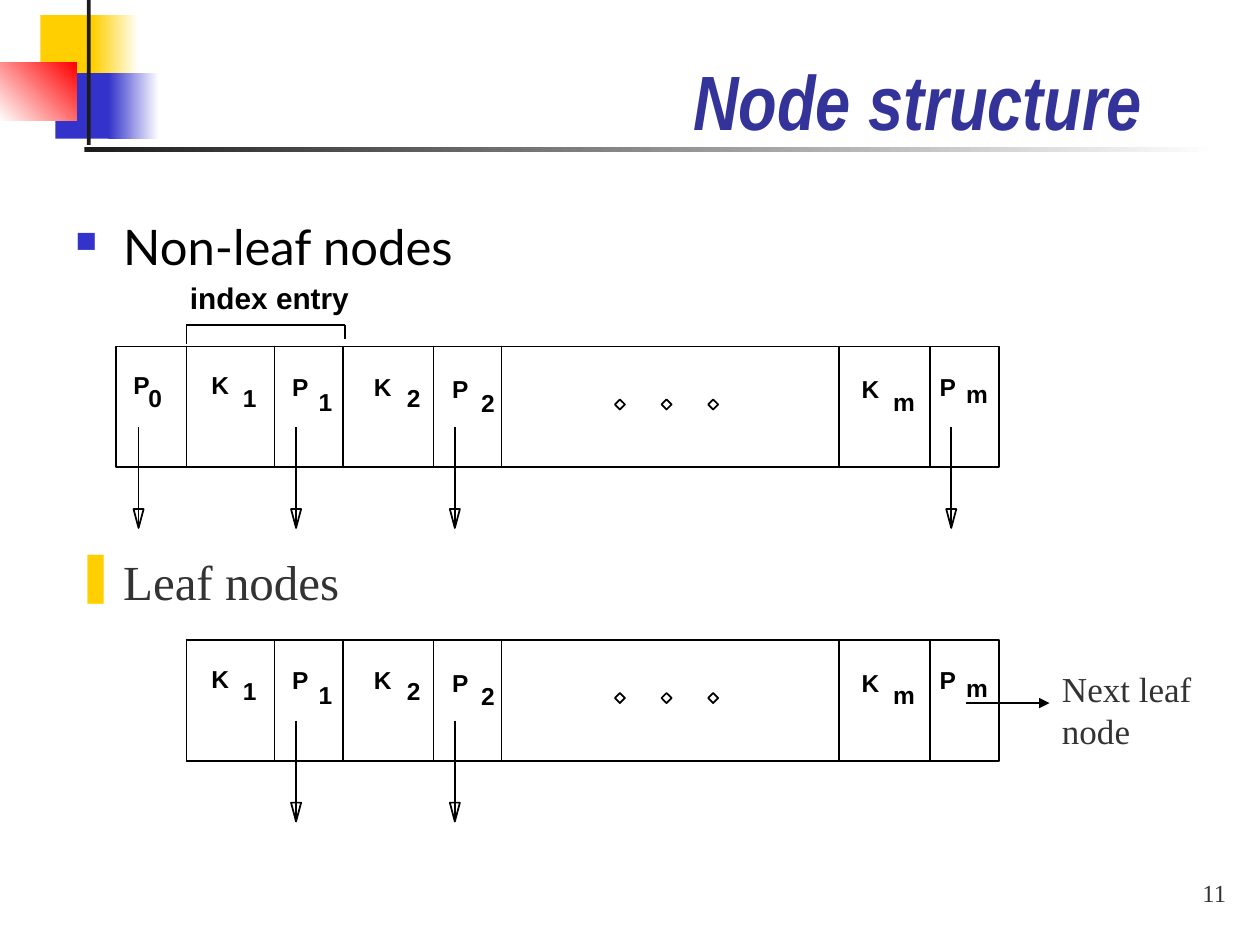
"""Build the slide that shows the structure of non-leaf and leaf index nodes."""
from dataclasses import dataclass

from lxml.etree import SubElement
from pptx import Presentation
from pptx.dml.color import RGBColor
from pptx.enum.shapes import MSO_CONNECTOR, MSO_SHAPE
from pptx.enum.text import MSO_ANCHOR, MSO_AUTO_SIZE, PP_ALIGN
from pptx.oxml.ns import qn
from pptx.util import Emu, Pt

SCALE = 9144


def px(*lengths):
    return [Emu(length * SCALE) for length in lengths]


@dataclass(frozen=True)
class Theme:
    black: str = "000000"
    white: str = "FFFFFF"
    ink: str = "1C1C1C"
    grey: str = "333333"
    title: str = "333399"
    blue: str = "3333CC"
    yellow: str = "FFCF01"
    red: str = "FF0000"
    title_font: str = "Arial Narrow"
    label_font: str = "Arial"
    body_font: str = "Lato"
    serif_font: str = "Times New Roman"
    title_size: int = 44
    body_size: int = 28
    note_size: int = 20
    caption_size: int = 17
    label_size: int = 14
    line_width: int = 1


class SlideBuilder:
    def __init__(self, slide, theme):
        self.slide = slide
        self.theme = theme

    def style(self, paragraph, font, size, color, bold=False, italic=False):
        paragraph.font.name = font
        paragraph.font.size = Pt(size)
        paragraph.font.color.rgb = RGBColor.from_string(color)
        paragraph.font.bold = bold
        paragraph.font.italic = italic

    def title(self, text, left, top, width, height):
        shape = self.slide.shapes.title
        shape.left, shape.top, shape.width, shape.height = px(left, top, width, height)
        frame = shape.text_frame
        frame.text = text
        frame.auto_size = MSO_AUTO_SIZE.NONE
        frame.vertical_anchor = MSO_ANCHOR.MIDDLE
        paragraph = frame.paragraphs[0]
        paragraph.alignment = PP_ALIGN.RIGHT
        self.style(paragraph, self.theme.title_font, self.theme.title_size,
                   self.theme.title, bold=True, italic=True)

    def block(self, left, top, width, height, colors, angle=0):
        shape = self.slide.shapes.add_shape(MSO_SHAPE.RECTANGLE, *px(left, top, width, height))
        shape.shadow.inherit = False
        shape.line.fill.background()
        if len(colors) == 1:
            shape.fill.solid()
            shape.fill.fore_color.rgb = RGBColor.from_string(colors[0])
            return
        shape.fill.gradient()
        shape.fill.gradient_angle = angle
        for stop, color in zip(shape.fill.gradient_stops, colors):
            stop.color.rgb = RGBColor.from_string(color)

    def outline(self, kind, left, top, width, height):
        shape = self.slide.shapes.add_shape(kind, *px(left, top, width, height))
        shape.shadow.inherit = False
        shape.fill.background()
        self.stroke(shape.line)

    def stroke(self, line):
        line.color.rgb = RGBColor.from_string(self.theme.black)
        line.width = Pt(self.theme.line_width)

    def line(self, x1, y1, x2, y2, arrow=False):
        connector = self.slide.shapes.add_connector(MSO_CONNECTOR.STRAIGHT, *px(x1, y1, x2, y2))
        self.stroke(connector.line)
        if arrow:
            SubElement(connector.line._get_or_add_ln(), qn("a:tailEnd"), type="triangle")
        SubElement(connector._element.spPr, qn("a:effectLst"))

    def pointer(self, x, top):
        self.line(x, top, x, top + 80)
        self.outline(MSO_SHAPE.FLOWCHART_MERGE, x - 4, top + 65, 8, 15)

    def text(self, lines, left, top, width, height, font, size, color, bold=False):
        shape = self.slide.shapes.add_textbox(*px(left, top, width, height))
        frame = shape.text_frame
        frame.text = lines
        frame.word_wrap = False
        frame.auto_size = MSO_AUTO_SIZE.SHAPE_TO_FIT_TEXT
        for paragraph in frame.paragraphs:
            self.style(paragraph, font, size, color, bold)
        return frame

    def label(self, text, left, top, width):
        self.text(text, left, top, width, 33, self.theme.label_font,
                  self.theme.label_size, self.theme.black, bold=True)

    def bullet(self, text, top, font, color, mark, mark_color, mark_percent):
        shape = self.slide.shapes.add_textbox(*px(50, top, 894, 94))
        frame = shape.text_frame
        frame.word_wrap = True
        paragraph = frame.paragraphs[0]
        paragraph.text = text
        properties = paragraph._p.get_or_add_pPr()
        indent = 38 * SCALE
        properties.set("marL", str(indent))
        properties.set("indent", str(-indent))
        SubElement(SubElement(properties, qn("a:buClr")), qn("a:srgbClr"), val=mark_color)
        SubElement(properties, qn("a:buSzPct"), val=str(mark_percent * 1000))
        SubElement(properties, qn("a:buChar"), char=mark)
        self.style(paragraph, font, self.theme.body_size, color)

    def page_number(self, text):
        frame = self.text(text, 833, 675, 150, 50, self.theme.serif_font,
                          self.theme.label_size, self.theme.grey)
        frame.word_wrap = True
        frame.auto_size = MSO_AUTO_SIZE.NONE
        frame.vertical_anchor = MSO_ANCHOR.BOTTOM
        frame.paragraphs[0].alignment = PP_ALIGN.RIGHT

    def node(self, left, top, labels, pointers):
        self.outline(MSO_SHAPE.RECTANGLE, left, top, 793 - left, 96)
        for cell_left, cell_right in ((148, 218), (272, 344), (344, 398), (666, 738)):
            self.outline(MSO_SHAPE.RECTANGLE, cell_left, top, cell_right - cell_left, 96)
        for dot in range(3):
            self.outline(MSO_SHAPE.DIAMOND, 488 + 37 * dot, top + 42, 8, 8)
        for text, label_left, offset in labels:
            self.label(text, label_left, top + offset, LABEL_WIDTHS.get(text, 31))
        for x in pointers:
            self.pointer(x, top + 64)


LABEL_WIDTHS = {"P": 33, "K": 34, "m": 38}
FIRST_POINTER = [("P", 96, 14), ("0", 108, 24)]
ENTRIES = [
    ("K", 158, 14), ("1", 183, 24), ("P", 222, 15), ("1", 243, 27),
    ("K", 287, 15), ("2", 313, 24), ("P", 349, 17), ("2", 372, 28),
    ("K", 674, 17), ("m", 699, 27), ("P", 736, 15), ("m", 757, 21),
]


def main():
    presentation = Presentation()
    presentation.slide_width, presentation.slide_height = px(1000, 750)
    theme = Theme()
    slide = presentation.slides.add_slide(presentation.slide_layouts[5])
    builder = SlideBuilder(slide, theme)

    builder.block(32, 12, 48, 52, [theme.yellow])
    builder.block(74, 12, 36, 52, [theme.yellow, theme.white])
    builder.block(44, 58, 46, 52, [theme.blue])
    builder.block(86, 58, 40, 52, [theme.blue, theme.white])
    builder.block(0, 50, 61, 46, [theme.white, theme.red], angle=45)
    builder.block(69, 0, 3, 115, [theme.ink])
    builder.block(67, 117, 900, 4, [theme.ink, theme.white])
    builder.title("Node structure", 42, 17, 875, 125)
    builder.page_number("11")

    builder.bullet("Non-leaf nodes", 167, theme.body_font, theme.black, "■", theme.blue, 60)
    builder.text("index entry", 141, 217, 146, 38, theme.label_font,
                 theme.caption_size, theme.black, bold=True)
    builder.line(148, 258, 274, 258)
    builder.line(148, 258, 148, 273)
    builder.line(274, 258, 274, 269)
    builder.node(92, 275, FIRST_POINTER + ENTRIES, (110, 235, 361, 755))

    builder.bullet("Leaf nodes", 433, theme.serif_font, theme.grey, "❚", theme.yellow, 100)
    builder.node(148, 508, ENTRIES, (235, 361))
    builder.line(767, 558, 833, 558, arrow=True)
    builder.text("Next leaf\nnode", 833, 525, 129, 77, theme.serif_font,
                 theme.note_size, theme.grey)

    presentation.save("out.pptx")


if __name__ == "__main__":
    main()
